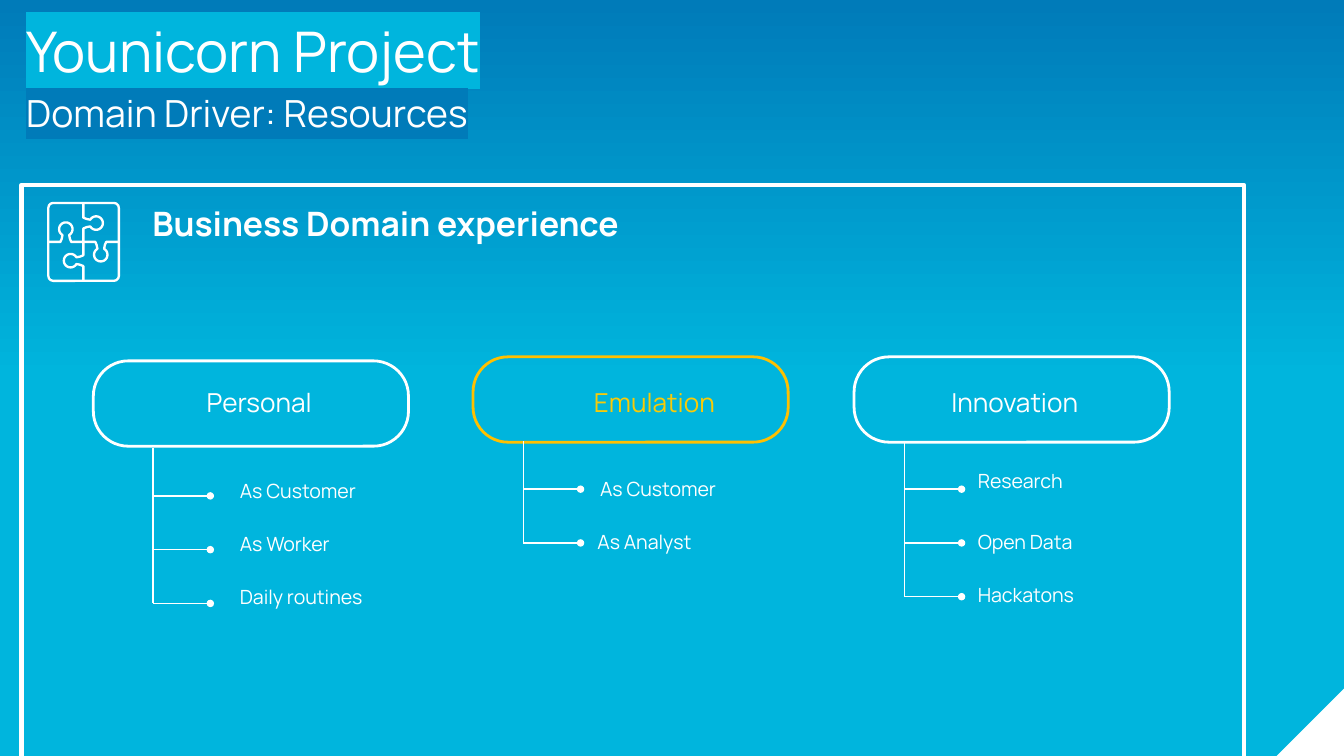
import copy
import math
from dataclasses import dataclass

import pptx
import pptx.dml.color
import pptx.enum.shapes
import pptx.enum.text
import pptx.oxml
import pptx.oxml.ns
import pptx.util

PX = 4572  # EMU in one px, 200 px to the inch
FONT = "Manrope"
WHITE, CYAN, BLUE = "FFFFFF", "00B5DD", "007BB9"
SHAPE = pptx.enum.shapes.MSO_SHAPE
ALIGN = pptx.enum.text.PP_ALIGN
ANCHOR = pptx.enum.text.MSO_ANCHOR
FIT = pptx.enum.text.MSO_AUTO_SIZE
qn = pptx.oxml.ns.qn


@dataclass
class Item:
    text: str
    x: int
    y: int


@dataclass
class Domain:
    name: str
    box: tuple[int, int]
    label: tuple[int, int]  # left and width
    trunk: tuple[int, int]  # x and top
    items: list[Item]
    line_color: str = WHITE
    text_color: str = WHITE


DOMAINS = [
    Domain("Personal", (139, 537), (276, 220), (228, 666),
           [Item("As Customer", 343, 704), Item("As Worker", 343, 783),
            Item("Daily routines", 343, 862)]),
    Domain("Emulation", (704, 531), (842, 264), (779, 656),
           [Item("As Customer", 879, 701), Item("As Analyst", 875, 779)],
           "FFC000", "F9CB07"),
    Domain("Innovation", (1271, 531), (1378, 264), (1346, 656),
           [Item("Research", 1441, 689), Item("Open Data", 1441, 779),
            Item("Hackatons", 1441, 858)]),
]
FIRST_BRANCH, BRANCH_STEP, BRANCH_LENGTH = 72, 80, 85


def rgb(color: str) -> pptx.dml.color.RGBColor:
    return pptx.dml.color.RGBColor.from_string(color)


def emu(*lengths: int) -> list[int]:
    return [length * PX for length in lengths]


def add_run(p, text: str, size: float, color: str = WHITE,
            bold: bool = False, highlight: str = "") -> None:
    r = p.add_run()
    r.text = text
    r.font.name = FONT
    r.font.size = pptx.util.Pt(size)
    r.font.bold = bold
    r.font.color.rgb = rgb(color)
    if highlight:
        mark = pptx.oxml.parse_xml(
            f'<a:highlight {pptx.oxml.ns.nsdecls("a")}>'
            f'<a:srgbClr val="{highlight}"/></a:highlight>')
        r.font._element.find(qn("a:latin")).addprevious(mark)


def set_insets(tf, x: int, y: int) -> None:
    tf.margin_left = tf.margin_right = x * PX
    tf.margin_top = tf.margin_bottom = y * PX


def add_label(s, text: str, x: int, y: int, w: int, size: float,
              color: str = WHITE, align=ALIGN.LEFT) -> None:
    tf = s.shapes.add_textbox(*emu(x, y, w, 52)).text_frame
    tf.word_wrap = True
    tf.vertical_anchor = ANCHOR.BOTTOM
    set_insets(tf, 14, 8)
    tf.paragraphs[0].alignment = align
    add_run(tf.paragraphs[0], text, size, color)


def outline(sp, color: str, width: float) -> None:
    sp.shadow.inherit = False
    sp.fill.background()
    sp.line.color.rgb = rgb(color)
    sp.line.width = pptx.util.Pt(width)


def add_frame(s, shape, x: int, y: int, w: int, h: int, width: float,
              color: str = WHITE, radius: float = 0) -> None:
    sp = s.shapes.add_shape(shape, *emu(x, y, w, h))
    outline(sp, color, width)
    if radius:
        sp.adjustments[0] = radius


def add_line(s, x1: int, y1: int, x2: int, y2: int, dot: bool = False) -> None:
    line = s.shapes.add_connector(
        pptx.enum.shapes.MSO_CONNECTOR.STRAIGHT, *emu(x1, y1, x2, y2))
    line.line.color.rgb = rgb(WHITE)
    line.line.width = pptx.util.Pt(0.75)
    spPr = line._element.spPr
    if dot:
        ln = spPr.find(qn("a:ln"))
        ln.append(ln.makeelement(qn("a:tailEnd"), {"type": "oval", "w": "sm", "len": "sm"}))
    spPr.append(spPr.makeelement(qn("a:effectLst"), {}))


def knob(center: int, side: int) -> list[tuple[float, float]]:
    """Points along and across a puzzle seam, around one knob."""
    angles = [math.radians(240 - 15 * i) for i in range(21)]
    arc = [(10 * math.cos(a), 19 + 10 * math.sin(a)) for a in angles]
    half = [(-8, 0), (-6, 5)]
    mirrored = [(-u, v) for u, v in reversed(half)]
    return [(center + u, side * v) for u, v in half + arc + mirrored]


def add_seam(s, half: int, offset: int, side: int, vertical: bool) -> None:
    seam = [(-half, 0), *knob(-offset, side), *knob(offset, -side), (half, 0)]
    fine = 10  # drawing units in one px
    points = [(fine * (124 + (v if vertical else u)), fine * (360 + (u if vertical else v)))
              for u, v in seam]
    builder = s.shapes.build_freeform(*points[0], scale=PX / fine)
    builder.add_line_segments(points[1:], close=False)
    outline(builder.convert_to_shape(), WHITE, 1.25)


def add_domain(s, domain: Domain) -> None:
    x, w = domain.label
    add_label(s, domain.name, x, 578, w, 14, domain.text_color, ALIGN.CENTER)
    add_frame(s, SHAPE.ROUNDED_RECTANGLE, *domain.box, 469, 127, 1.5,
              domain.line_color, 0.41)
    x, top = domain.trunk
    y = top + FIRST_BRANCH
    add_line(s, x, top, x, y + BRANCH_STEP * (len(domain.items) - 1))
    for i, item in enumerate(domain.items):
        branch_y = y + BRANCH_STEP * i
        add_line(s, x, branch_y, x + BRANCH_LENGTH, branch_y, dot=True)
        add_label(s, item.text, item.x, item.y, 264, 10.5)


def paint_background(s) -> None:
    fill = s.background.fill
    fill.gradient()
    fill.gradient_angle = 90
    first = next(s._element.iter(qn("a:gs")))
    first.addnext(copy.deepcopy(first))
    stops = [(0, CYAN), (0.5, CYAN), (1, BLUE)]
    for stop, (position, color) in zip(fill.gradient_stops, stops):
        stop.position = position
        stop.color.rgb = rgb(color)


def add_title(s) -> None:
    title = s.shapes.title
    title.left, title.top, title.width, title.height = emu(39, 9, 1292, 222)
    tf = title.text_frame
    tf.word_wrap = True
    tf.auto_size = FIT.NONE
    tf.vertical_anchor = ANCHOR.TOP
    set_insets(tf, 0, 0)
    tf.add_paragraph()
    lines = [("Younicorn Project", 30, CYAN), ("Domain Driver: Resources", 20, BLUE)]
    for p, (text, size, highlight) in zip(tf.paragraphs, lines):
        p.alignment = ALIGN.LEFT
        p.line_spacing = 1.15
        p.space_before = pptx.util.Pt(0)
        add_run(p, text, size, highlight=highlight)


def main() -> None:
    prs = pptx.Presentation()
    prs.slide_width, prs.slide_height = emu(2000, 1125)
    s = prs.slides.add_slide(prs.slide_layouts[5])
    paint_background(s)

    # White corner
    corner = s.shapes.add_shape(SHAPE.RIGHT_TRIANGLE, *emu(1900, 1023, 102, 102))
    corner.shadow.inherit = False
    corner.fill.solid()
    corner.fill.fore_color.rgb = rgb(WHITE)
    corner.line.fill.background()
    corner._element.spPr.find(qn("a:xfrm")).set("flipH", "1")

    add_title(s)
    add_frame(s, SHAPE.RECTANGLE, 32, 275, 1819, 1012, 2.25)

    # Puzzle icon
    add_frame(s, SHAPE.ROUNDED_RECTANGLE, 72, 302, 105, 116, 1.25, radius=0.07)
    add_seam(s, 52, 26, -1, vertical=False)
    add_seam(s, 58, 28, 1, vertical=True)

    for domain in DOMAINS:
        add_domain(s, domain)

    # Section heading
    tf = s.shapes.add_textbox(*emu(207, 292, 736, 80)).text_frame
    tf.word_wrap = False
    tf.auto_size = FIT.SHAPE_TO_FIT_TEXT
    add_run(tf.paragraphs[0], "Business Domain experience", 18, bold=True)

    prs.save("out.pptx")


if __name__ == "__main__":
    main()
